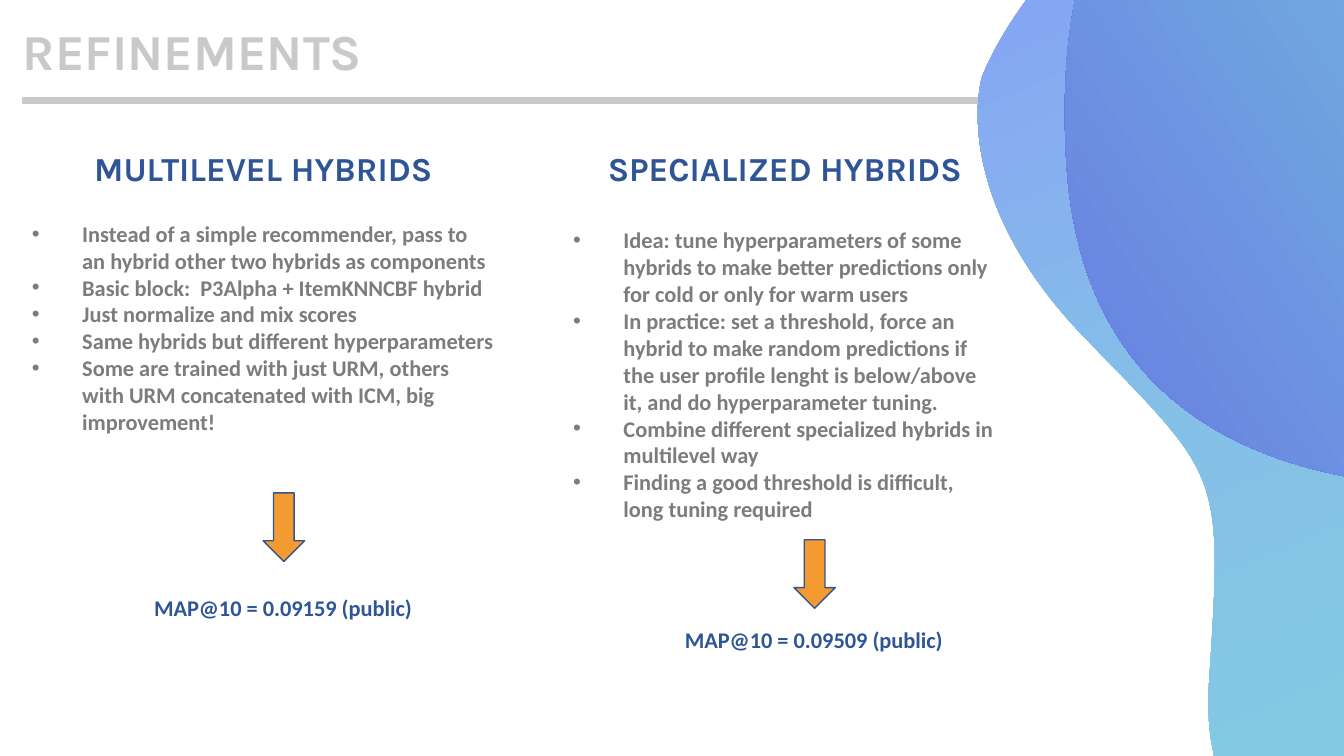
from math import cos, radians, sin

from lxml.etree import SubElement
from pptx import Presentation
from pptx.dml.color import RGBColor
from pptx.enum.shapes import MSO_SHAPE
from pptx.enum.text import MSO_ANCHOR, MSO_AUTO_SIZE, PP_ALIGN
from pptx.oxml.ns import qn
from pptx.util import Inches, Pt

SLIDE_WIDTH, SLIDE_HEIGHT = Inches(13.33), Inches(7.5)
LIGHT_GREY = RGBColor(0xC9, 0xC9, 0xC9)
TEXT_GREY = RGBColor(0x7C, 0x7C, 0x7C)
BLUE = RGBColor(0x2F, 0x55, 0x97)
ARROW_BLUE = RGBColor(0x32, 0x54, 0x91)
ORANGE = RGBColor(0xF3, 0x9B, 0x31)
AQUA = RGBColor(0x80, 0xDE, 0xDE)
SKY = RGBColor(0x85, 0xC1, 0xE7)
LAVENDER = RGBColor(0x87, 0x8C, 0xFF)
VIOLET = RGBColor(0x88, 0x2B, 0xE5)
INDIGO = RGBColor(0x66, 0x72, 0xE4)
MINT = RGBColor(0x7C, 0xEF, 0xD8)

BLOB_ROTATION = 157

# Each blob: start point in inches, Bezier segments, gradient stops, angle
BLOBS = [
    ((14, 1.06), [
        ((14.51, 5.56), (17.7, 3.15), (19.47, 4.96)),
        ((21.24, 6.77), (20.61, 8.11), (20.08, 8.4)),
        ((19.55, 8.69), (19.09, 8.66), (18.54, 7.87)),
        ((17.99, 7.07), (16.32, 7.96), (15.18, 8.56)),
        ((14.03, 9.16), (11.86, 8.93), (11.99, 6.79)),
        ((12.13, 4.64), (12.12, 4.76), (10.75, 3.34)),
        ((9.38, 1.92), (9.74, 0.76), (9.74, 0.76)),
        ((9.74, 0.76), (10.48, -1.15), (12.17, -0.98)),
        ((13.86, -0.81), (14, 1.06), (14, 1.06)),
    ], [(0, AQUA), (54, SKY), (100, LAVENDER)], 90),
    ((10.58, 1.67), [
        ((10.48, 0.19), (10.78, -0.67), (11.15, -1.18)),
        ((11.4, -1.27), (11.69, -1.3), (12.01, -1.27)),
        ((13.7, -1.11), (13.84, 0.76), (13.84, 0.76)),
        ((14.35, 5.26), (17.54, 2.85), (19.31, 4.66)),
        ((19.78, 5.14), (20.09, 5.6), (20.26, 6)),
        ((20.22, 6.09), (20.15, 6.17), (20.08, 6.26)),
        ((18.93, 7.55), (18.32, 6.2), (17.42, 5.52)),
        ((16.52, 4.83), (16.23, 4.79), (15.1, 4.83)),
        ((13.98, 4.87), (10.81, 4.92), (10.58, 1.67)),
    ], [(0, VIOLET), (19, INDIGO), (100, MINT)], 170),
]


def area(left, top, width, height):
    """Turn percentages of the slide's size into lengths."""
    return (round(SLIDE_WIDTH * left / 100), round(SLIDE_HEIGHT * top / 100),
            round(SLIDE_WIDTH * width / 100), round(SLIDE_HEIGHT * height / 100))


def turn(x, y, degrees):
    """Turn a point clockwise about the slide's top left corner."""
    angle = radians(degrees)
    return (round(x * cos(angle) - y * sin(angle)),
            round(x * sin(angle) + y * cos(angle)))


def bend_lines(shape):
    """Make one Bezier segment of every three line segments."""
    lines = list(shape.element.iter(qn("a:lnTo")))
    for first, second, third in zip(lines[::3], lines[1::3], lines[2::3]):
        first.tag = qn("a:cubicBezTo")
        for line in (second, third):
            first.append(line[0])
            line.getparent().remove(line)


def fill_gradient(shape, stops, angle):
    shape.fill.gradient()
    shape.fill.gradient_angle = 360 - angle
    stop_list = shape.element.spPr.find(qn("a:gradFill")).find(qn("a:gsLst"))
    for old_stop in list(stop_list):
        stop_list.remove(old_stop)
    for position, color in stops:
        stop = SubElement(stop_list, qn("a:gs"), pos=str(position * 1000))
        SubElement(stop, qn("a:srgbClr"), val=str(color))


def add_blob(slide, start, segments, stops, angle):
    """Draw the outline turned back, then rotate it so that its gradient turns too."""
    points = [turn(Inches(x), Inches(y), -BLOB_ROTATION)
              for x, y in [start, *sum(segments, ())]]
    builder = slide.shapes.build_freeform(*points[0])
    builder.add_line_segments(points[1:])
    blob = builder.convert_to_shape()
    bend_lines(blob)
    middle_x, middle_y = turn(blob.left + blob.width / 2, blob.top + blob.height / 2,
                              BLOB_ROTATION)
    blob.left = round(middle_x - blob.width / 2)
    blob.top = round(middle_y - blob.height / 2)
    blob.rotation = BLOB_ROTATION
    blob.shadow.inherit = False
    blob.line.fill.background()
    fill_gradient(blob, stops, angle)


def add_solid(slide, kind, box, fill, outline):
    shape = slide.shapes.add_shape(kind, *area(*box))
    shape.shadow.inherit = False
    shape.fill.solid()
    shape.fill.fore_color.rgb = fill
    shape.line.color.rgb = outline
    shape.line.width = Pt(1)


def write(shape, lines, font_name, size, color, alignment=PP_ALIGN.LEFT):
    frame = shape.text_frame
    frame.margin_left = frame.margin_right = frame.margin_top = frame.margin_bottom = 0
    frame.word_wrap = True
    frame.auto_size = MSO_AUTO_SIZE.SHAPE_TO_FIT_TEXT
    frame.vertical_anchor = MSO_ANCHOR.TOP
    frame.text = "\n".join(lines)
    for paragraph in frame.paragraphs:
        paragraph.alignment = alignment
        paragraph.line_spacing = 1.0
        paragraph.space_before = Pt(0)
        font = paragraph.font
        font.name, font.size, font.bold = font_name, Pt(size), True
        font.color.rgb = color


def add_text(slide, box, *style):
    text_box = slide.shapes.add_textbox(*area(*box))
    write(text_box, *style)
    return text_box


def add_bullets(slide, box, lines):
    text_box = add_text(slide, box, lines, "Calibri", 16, TEXT_GREY)
    for paragraph in text_box.text_frame.paragraphs:
        properties = paragraph._p.get_or_add_pPr()
        properties.set("marL", str(Inches(0.5)))
        properties.set("indent", str(-Inches(0.5)))
        bullet_font = properties.makeelement(qn("a:buFont"), typeface="Arial")
        bullet = properties.makeelement(qn("a:buChar"), char="•")
        properties.find(qn("a:defRPr")).addprevious(bullet_font)
        bullet_font.addnext(bullet)


def add_header(slide):
    title = slide.shapes.title
    title.left, title.top, title.width, title.height = area(1.7, 2.6, 39.75, 8.13)
    write(title, ["REFINEMENTS"], "Karla", 36, LIGHT_GREY)
    add_solid(slide, MSO_SHAPE.RECTANGLE, (1.7, 12.87, 77.03, 0.8), LIGHT_GREY, LIGHT_GREY)


def add_column(slide, box, heading, bullets, arrow_left, arrow_top, result, result_top):
    """Place heading, bullets, arrow and result; box holds the bullets."""
    left, _, width, _ = box
    heading_width = 27.15
    add_text(slide, (left + (width - heading_width) / 2, 19.5, heading_width, 5.33),
             [heading], "Karla", 24, BLUE, PP_ALIGN.CENTER)
    add_bullets(slide, box, bullets)
    add_solid(slide, MSO_SHAPE.DOWN_ARROW, (arrow_left, arrow_top, 3.08, 9.07),
              ORANGE, ARROW_BLUE)
    add_text(slide, (arrow_left - 8.12, result_top, 22.35, 3.6), [result], "Calibri", 16, BLUE)


def main():
    presentation = Presentation()
    presentation.slide_width, presentation.slide_height = SLIDE_WIDTH, SLIDE_HEIGHT
    slide = presentation.slides.add_slide(presentation.slide_layouts[5])
    add_header(slide)
    for blob in BLOBS:
        add_blob(slide, *blob)
    add_column(slide, (2.37, 29.1, 34.43, 35.87), "MULTILEVEL HYBRIDS", [
        "Instead of a simple recommender, pass to an hybrid other two hybrids as components",
        "Basic block:  P3Alpha + ItemKNNCBF hybrid",
        "Just normalize and mix scores",
        "Same hybrids but different hyperparameters",
        "Some are trained with just URM, others with URM concatenated with ICM, big improvement!",
    ], 19.58, 65.2, "MAP@10 = 0.09159 (public)", 78.57)
    add_column(slide, (42.64, 29.97, 31.5, 39.47), "SPECIALIZED HYBRIDS", [
        "Idea: tune hyperparameters of some hybrids to make better predictions only for cold "
        "or only for warm users",
        "In practice: set a threshold, force an hybrid to make random predictions if the user "
        "profile lenght is below/above it, and do hyperparameter tuning.",
        "Combine different specialized hybrids in multilevel way",
        "Finding a good threshold is difficult, long tuning required",
    ], 59.07, 71.4, "MAP@10 = 0.09509 (public)", 82.83)
    presentation.save("out.pptx")


if __name__ == "__main__":
    main()
